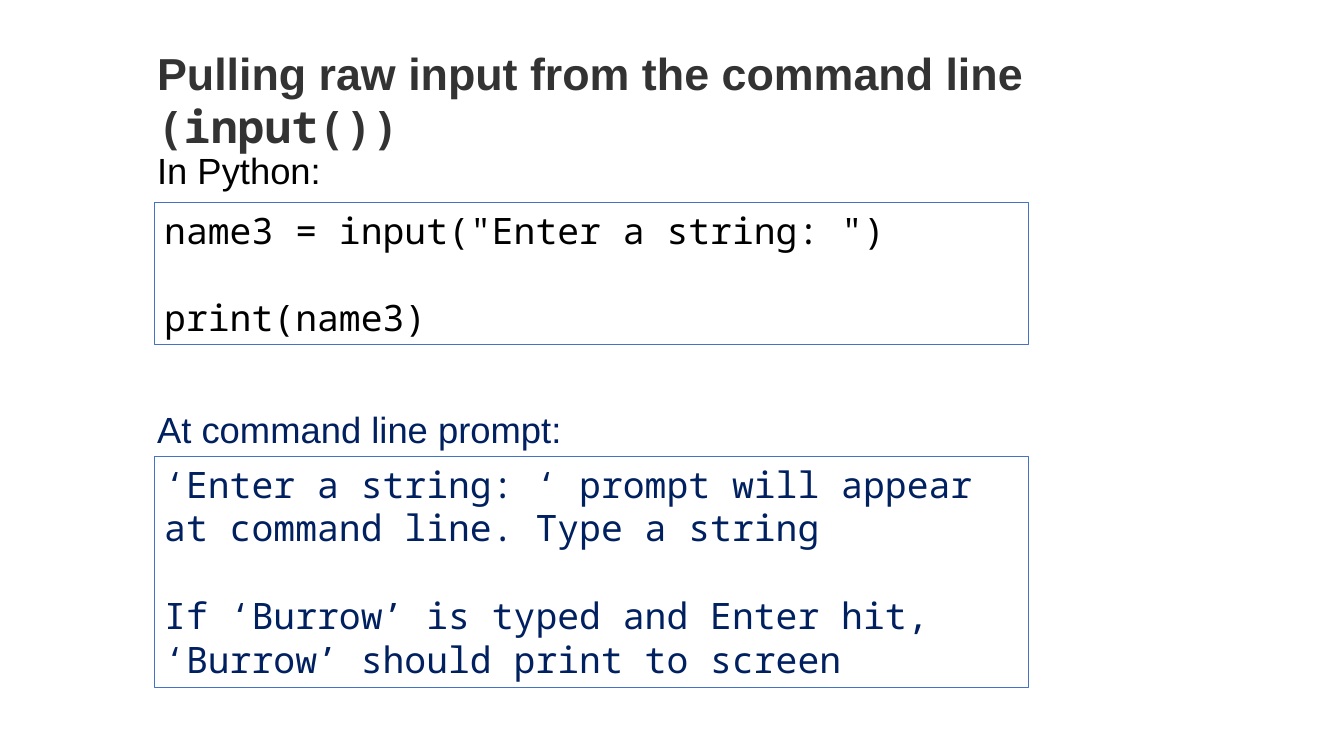
from pptx import Presentation
from pptx import util as u
from pptx.dml import color
from pptx.enum import shapes, text

COLORS = {"title": "333333", "python": "000000", "prompt": "002060", "border": "4472C4"}
SANS = "Arial"
MONO = "Noto Sans Mono"


class SlideBuilder:
    body_size = 26
    title_size = 32
    gap = u.Pt(31.4)
    text_left = u.Cm(3.71)
    box_left = u.Cm(3.89)
    box_width = u.Cm(22.02)

    def __init__(self, slide):
        self.slide = slide

    def rgb(self, name):
        return color.RGBColor.from_string(COLORS[name])

    def add_run(self, paragraph, words, font, size, color_name, bold=False):
        run = paragraph.add_run()
        run.text = words
        run.font.name = font
        run.font.size = u.Pt(size)
        run.font.bold = bold
        run.font.color.rgb = self.rgb(color_name)

    def add_text_box(self, top, width, height, wrap):
        box = self.slide.shapes.add_textbox(self.text_left, u.Cm(top), u.Cm(width), u.Cm(height))
        box.text_frame.word_wrap = wrap
        return box.text_frame.paragraphs[0]

    def title(self, words, code):
        paragraph = self.add_text_box(1.02, 27.53, 1.63, True)
        for part, font in ((words, SANS), (code, MONO)):
            self.add_run(paragraph, part, font, self.title_size, "title", True)

    def label(self, words, top, width, color_name):
        paragraph = self.add_text_box(top, width, 1.37, False)
        self.add_run(paragraph, words, SANS, self.body_size, color_name)

    def code_box(self, groups, top, height, color_name):
        shape = self.slide.shapes.add_shape(
            shapes.MSO_SHAPE.RECTANGLE, self.box_left, u.Cm(top), self.box_width, u.Cm(height))
        shape.shadow.inherit = False
        shape.fill.background()
        shape.line.color.rgb = self.rgb("border")
        shape.line.width = u.Pt(0.75)
        frame = shape.text_frame
        frame.word_wrap = True
        frame.vertical_anchor = text.MSO_ANCHOR.TOP
        for group_index, group in enumerate(groups):
            for line_index, line in enumerate(group):
                first = group_index == line_index == 0
                paragraph = frame.paragraphs[0] if first else frame.add_paragraph()
                paragraph.alignment = text.PP_ALIGN.LEFT
                if group_index and not line_index:
                    paragraph.space_before = self.gap
                self.add_run(paragraph, line, MONO, self.body_size, color_name)


presentation = Presentation()
presentation.slide_width = u.Cm(33.87)
presentation.slide_height = u.Cm(19.05)
builder = SlideBuilder(presentation.slides.add_slide(presentation.slide_layouts[6]))

builder.code_box([['name3 = input("Enter a string: ")'], ["print(name3)"]], 5.11, 3.58, "python")
builder.code_box([
    ["‘Enter a string: ‘ prompt will appear at command line. Type a string"],
    ["If ‘Burrow’ is typed and Enter hit,", "‘Burrow’ should print to screen"],
], 11.51, 5.82, "prompt")
builder.title("Pulling raw input from the command line ", "(input())")
builder.label("In Python:", 3.61, 4.65, "python")
builder.label("At command line prompt:", 10.13, 11.02, "prompt")

presentation.save("out.pptx")
